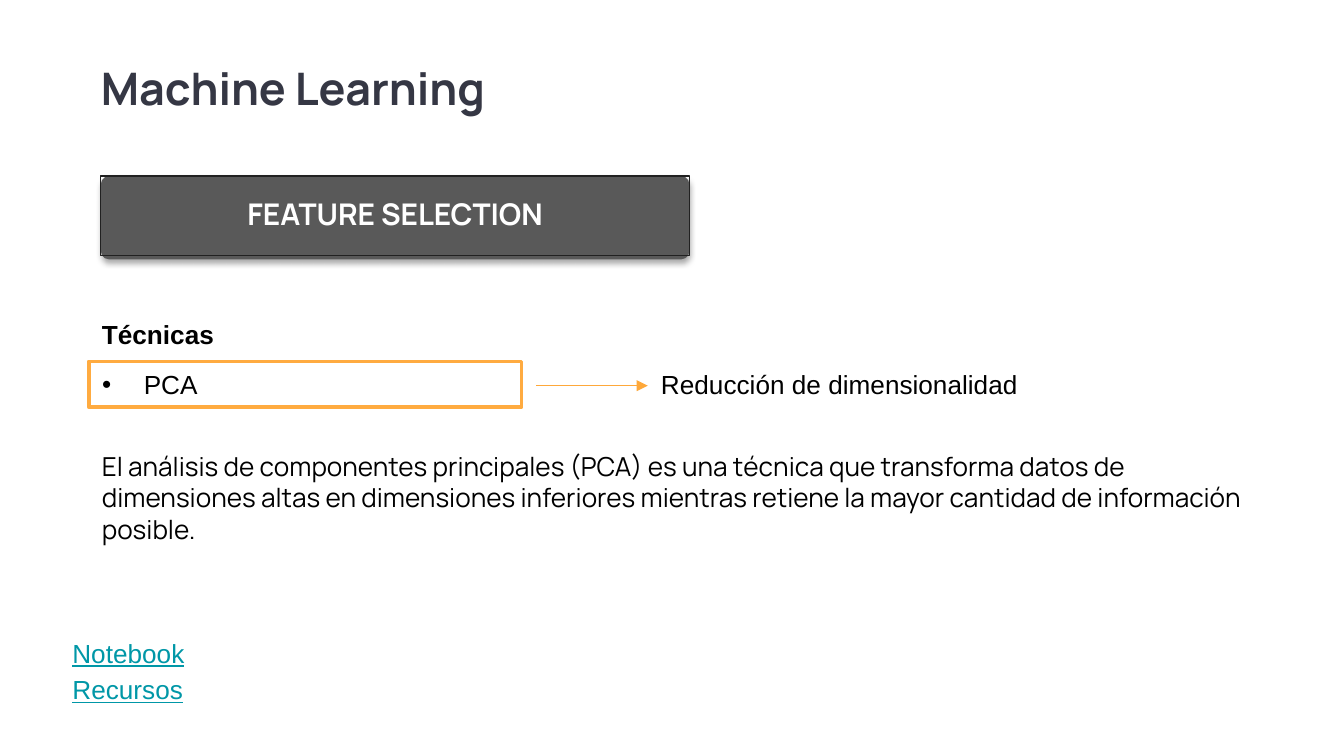
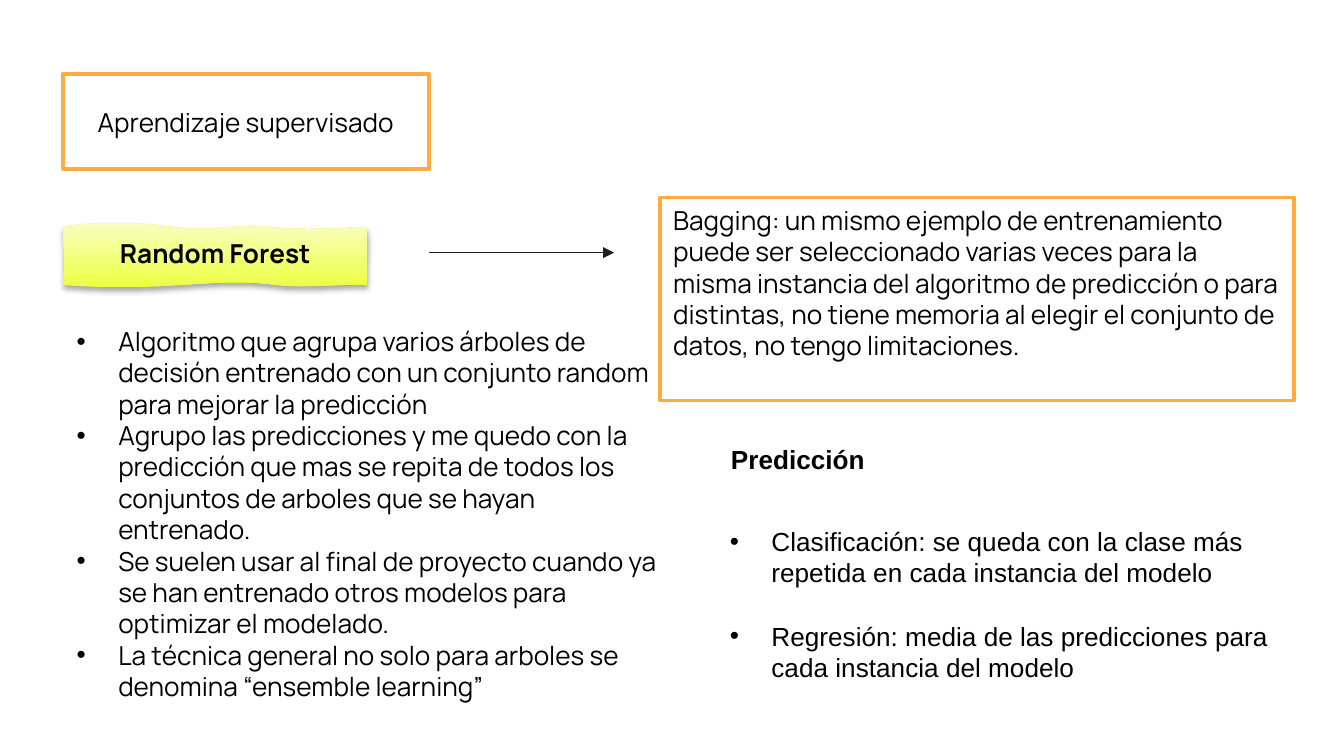
from dataclasses import dataclass, replace

from lxml import etree
from pptx import Presentation
from pptx.dml.color import RGBColor
from pptx.enum.shapes import MSO_CONNECTOR, MSO_SHAPE
from pptx.enum.text import MSO_ANCHOR, MSO_AUTO_SIZE, PP_ALIGN
from pptx.oxml.ns import qn
from pptx.util import Pt

RECTANGLE = MSO_SHAPE.RECTANGLE
ROUNDED = MSO_SHAPE.ROUNDED_RECTANGLE
STRAIGHT = MSO_CONNECTOR.STRAIGHT
TOP, MIDDLE = MSO_ANCHOR.TOP, MSO_ANCHOR.MIDDLE
LEFT, CENTER = PP_ALIGN.LEFT, PP_ALIGN.CENTER
NO_AUTOFIT = MSO_AUTO_SIZE.NONE

EMU_PER_PX = 9144
SLIDE_WIDTH = 1000
LEFT_SIDE = 1
CURVE_STEPS = 10


@dataclass(frozen=True)
class Theme:
    heading_font: str = "Manrope"
    plain_font: str = "Arial"
    title_size: int = 24
    banner_size: int = 16
    text_size: int = 14
    list_gap: int = 17
    frame_width: float = 2
    thin_width: float = 0.75
    title: str = "353744"
    text: str = "000000"
    white: str = "FFFFFF"
    link: str = "0097A7"
    frame: str = "FFAB40"
    arrow: str = "FEA83A"
    dark_arrow: str = "202020"
    banner: str = "595959"
    banner_line: str = "212121"
    lime: str = "EEFF41"
    pale_lime: str = "F7FFC0"


THEME = Theme()


@dataclass(frozen=True)
class Box:
    left: int
    top: int
    width: int
    height: int

    def emu(self) -> tuple[int, int, int, int]:
        return tuple(px(side) for side in (self.left, self.top, self.width, self.height))


@dataclass(frozen=True)
class TextStyle:
    font: str = THEME.heading_font
    size: int = THEME.text_size
    color: str = THEME.text
    bold: bool = False
    underline: bool = False
    align: PP_ALIGN = LEFT
    anchor: MSO_ANCHOR = TOP
    inset_x: int = 10
    inset_y: int = 5
    line_spacing: float = 1.0
    bullet: bool = False
    gap: int = 0


@dataclass(frozen=True)
class Label:
    text: str
    box: Box
    style: TextStyle


BODY = TextStyle()
PLAIN = TextStyle(font=THEME.plain_font)
STRONG = replace(PLAIN, bold=True)
LINK = replace(PLAIN, color=THEME.link, underline=True)
BULLETS = replace(BODY, bullet=True)
PLAIN_BULLETS = replace(PLAIN, bullet=True, gap=THEME.list_gap)
CENTERED = replace(BODY, align=CENTER, anchor=MIDDLE)
TITLE = TextStyle(size=THEME.title_size, color=THEME.title, bold=True,
                  inset_x=0, inset_y=0, line_spacing=0.9)
TAG = replace(CENTERED, bold=True, inset_x=7, inset_y=7, line_spacing=0.9)
BANNER = replace(TAG, size=THEME.banner_size, color=THEME.white)

WAVE_START = (47, 169)
WAVE_CURVES = (
    ((69, 165), (101, 165), (127, 169)),
    ((153, 173), (185, 166), (200, 169)),
    ((215, 171), (241, 171), (273, 169)),
    ((274, 182), (273, 196), (273, 212)),
    ((257, 211), (227, 215), (205, 212)),
    ((183, 209), (166, 210), (136, 212)),
    ((106, 214), (84, 215), (47, 212)),
    ((49, 192), (47, 180), (47, 169)),
)

FEATURE_LABELS = (
    Label("Reducción de dimensionalidad", Box(482, 269, 386, 36), PLAIN),
    Label("El análisis de componentes principales (PCA) es una técnica que transforma "
          "datos de dimensiones altas en dimensiones inferiores mientras retiene la "
          "mayor cantidad de información posible.", Box(66, 330, 876, 81), BODY),
    Label("Técnicas", Box(66, 232, 322, 34), STRONG),
    Label("Notebook", Box(44, 469, 137, 34), LINK),
    Label("Recursos", Box(44, 496, 275, 34), LINK),
)

FOREST_POINTS = (
    "Algoritmo que agrupa varios árboles de decisión entrenado con un conjunto random "
    "para mejorar la predicción",
    "Agrupo las predicciones y me quedo con la predicción que mas se repita de todos "
    "los conjuntos de arboles que se hayan entrenado.",
    "Se suelen usar al final de proyecto cuando ya se han entrenado otros modelos para "
    "optimizar el modelado.",
    "La técnica general no solo para arboles se denomina “ensemble learning”",
)

PREDICTION_POINTS = (
    "Clasificación: se queda con la clase más repetida en cada instancia del modelo",
    "Regresión: media de las predicciones para cada instancia del modelo",
)

BAGGING = ("Bagging: un mismo ejemplo de entrenamiento puede ser seleccionado varias veces "
           "para la misma instancia del algoritmo de predicción o para distintas, no tiene "
           "memoria al elegir el conjunto de datos, no tengo limitaciones.")


def px(length: float) -> int:
    return round(length * EMU_PER_PX)


def rgb(color: str) -> RGBColor:
    return RGBColor.from_string(color)


def add_bullet(paragraph) -> None:
    properties = paragraph._p.get_or_add_pPr()
    properties.set("marL", str(px(31)))
    properties.set("indent", str(px(-31)))
    color = etree.SubElement(properties, qn("a:buClr"))
    etree.SubElement(color, qn("a:srgbClr"), val=THEME.text)
    etree.SubElement(properties, qn("a:buFont"), typeface=THEME.plain_font)
    etree.SubElement(properties, qn("a:buChar"), char="•")


def write(shape, texts: tuple[str, ...], style: TextStyle) -> None:
    frame = shape.text_frame
    frame.text = "\n".join(texts)
    frame.word_wrap = True
    frame.auto_size = NO_AUTOFIT
    frame.vertical_anchor = style.anchor
    frame.margin_left = frame.margin_right = px(style.inset_x)
    frame.margin_top = frame.margin_bottom = px(style.inset_y)
    for index, paragraph in enumerate(frame.paragraphs):
        if style.bullet:
            add_bullet(paragraph)
        paragraph.alignment = style.align
        paragraph.line_spacing = style.line_spacing
        paragraph.space_before = Pt(style.gap if index else 0)
        for span in paragraph.runs:
            span.font.name = style.font
            span.font.size = Pt(style.size)
            span.font.bold = style.bold
            span.font.underline = style.underline
            span.font.color.rgb = rgb(style.color)


def place(shape, box: Box) -> None:
    shape.left, shape.top, shape.width, shape.height = box.emu()


def set_line(shape, color: str, width: float) -> None:
    shape.line.color.rgb = rgb(color)
    shape.line.width = Pt(width)


def set_frame(shape) -> None:
    shape.shadow.inherit = False
    shape.fill.solid()
    shape.fill.fore_color.rgb = rgb(THEME.white)
    set_line(shape, THEME.frame, THEME.frame_width)


def add_shadow(shape) -> None:
    shape.shadow.inherit = False
    effects = shape._element.spPr.find(qn("a:effectLst"))
    shadow = etree.SubElement(effects, qn("a:outerShdw"), blurRad=str(Pt(3.1)),
                              dist=str(Pt(1.8)), dir="5400000", algn="t", rotWithShape="0")
    color = etree.SubElement(shadow, qn("a:srgbClr"), val=THEME.text)
    etree.SubElement(color, qn("a:alpha"), val="35000")


def add_label(page, label: Label):
    shape = page.shapes.add_textbox(*label.box.emu())
    write(shape, (label.text,), label.style)
    return shape


def add_arrow(page, left: int, right: int, y: int, color: str):
    arrow = page.shapes.add_connector(STRAIGHT, px(left), px(y), px(right), px(y))
    set_line(arrow, color, THEME.thin_width)
    etree.SubElement(arrow.line._get_or_add_ln(), qn("a:tailEnd"), type="triangle")
    etree.SubElement(arrow._element.spPr, qn("a:effectLst"))
    return arrow


def add_banner(page, text: str) -> None:
    base = page.shapes.add_shape(ROUNDED, *Box(75, 131, 438, 62).emu())
    base.adjustments[0] = 0.1
    base.fill.solid()
    base.fill.fore_color.rgb = rgb(THEME.banner)
    base.line.fill.background()
    add_shadow(base)
    outline = page.shapes.add_shape(RECTANGLE, *Box(75, 131, 438, 59).emu())
    outline.shadow.inherit = False
    outline.fill.background()
    set_line(outline, THEME.banner_line, THEME.thin_width)
    write(outline, (text,), BANNER)


def wave_points() -> list[tuple[float, float]]:
    points = []
    start = WAVE_START
    for first, second, end in WAVE_CURVES:
        for step in range(1, CURVE_STEPS + 1):
            t = step / CURVE_STEPS
            weights = ((1 - t) ** 3, 3 * t * (1 - t) ** 2, 3 * t * t * (1 - t), t ** 3)
            knots = (start, first, second, end)
            points.append(tuple(px(sum(weight * knot[axis]
                                       for weight, knot in zip(weights, knots)))
                                for axis in (0, 1)))
        start = end
    return points


def add_wave_tag(page, text: str) -> None:
    builder = page.shapes.build_freeform(*map(px, WAVE_START))
    builder.add_line_segments(wave_points(), close=True)
    wave = builder.convert_to_shape()
    wave.fill.gradient()
    wave.fill.gradient_angle = 90
    for stop, color in zip(wave.fill.gradient_stops, (THEME.lime, THEME.pale_lime)):
        stop.color.rgb = rgb(color)
    wave.line.fill.background()
    add_shadow(wave)
    write(wave, (text,), TAG)


def build_feature_selection(deck) -> None:
    page = deck.slides.add_slide(deck.slide_layouts.get_by_name("Title and Content"))
    title, technique = page.placeholders
    place(title, Box(75, 50, 744, 43))
    write(title, ("Machine Learning",), TITLE)
    place(technique, Box(66, 269, 322, 34))
    set_frame(technique)
    write(technique, ("PCA",), PLAIN_BULLETS)
    add_banner(page, "FEATURE SELECTION")
    reduction, *_ = [add_label(page, label) for label in FEATURE_LABELS]
    arrow = add_arrow(page, 399, 482, 287, THEME.arrow)
    arrow.end_connect(reduction, LEFT_SIDE)


def build_random_forest(deck) -> None:
    page = deck.slides.add_slide(deck.slide_layouts.get_by_name("Two Content"))
    title, forest, prediction = page.placeholders
    place(title, Box(47, 55, 272, 71))
    set_frame(title)
    write(title, ("Aprendizaje supervisado",), CENTERED)
    place(forest, Box(47, 237, 453, 316))
    write(forest, FOREST_POINTS, BULLETS)
    place(prediction, Box(533, 386, 446, 128))
    write(prediction, PREDICTION_POINTS, PLAIN_BULLETS)
    add_wave_tag(page, "Random Forest")
    add_arrow(page, 319, 457, 188, THEME.dark_arrow)
    bagging = page.shapes.add_shape(RECTANGLE, *Box(491, 147, 472, 151).emu())
    set_frame(bagging)
    write(bagging, (BAGGING,), BODY)
    add_label(page, Label("Predicción", Box(534, 325, 179, 34), STRONG))


def main() -> None:
    deck = Presentation()
    deck.slide_width = px(SLIDE_WIDTH)
    deck.slide_height = px(SLIDE_WIDTH * 9 / 16)
    build_feature_selection(deck)
    build_random_forest(deck)
    deck.save("out.pptx")


if __name__ == "__main__":
    main()
